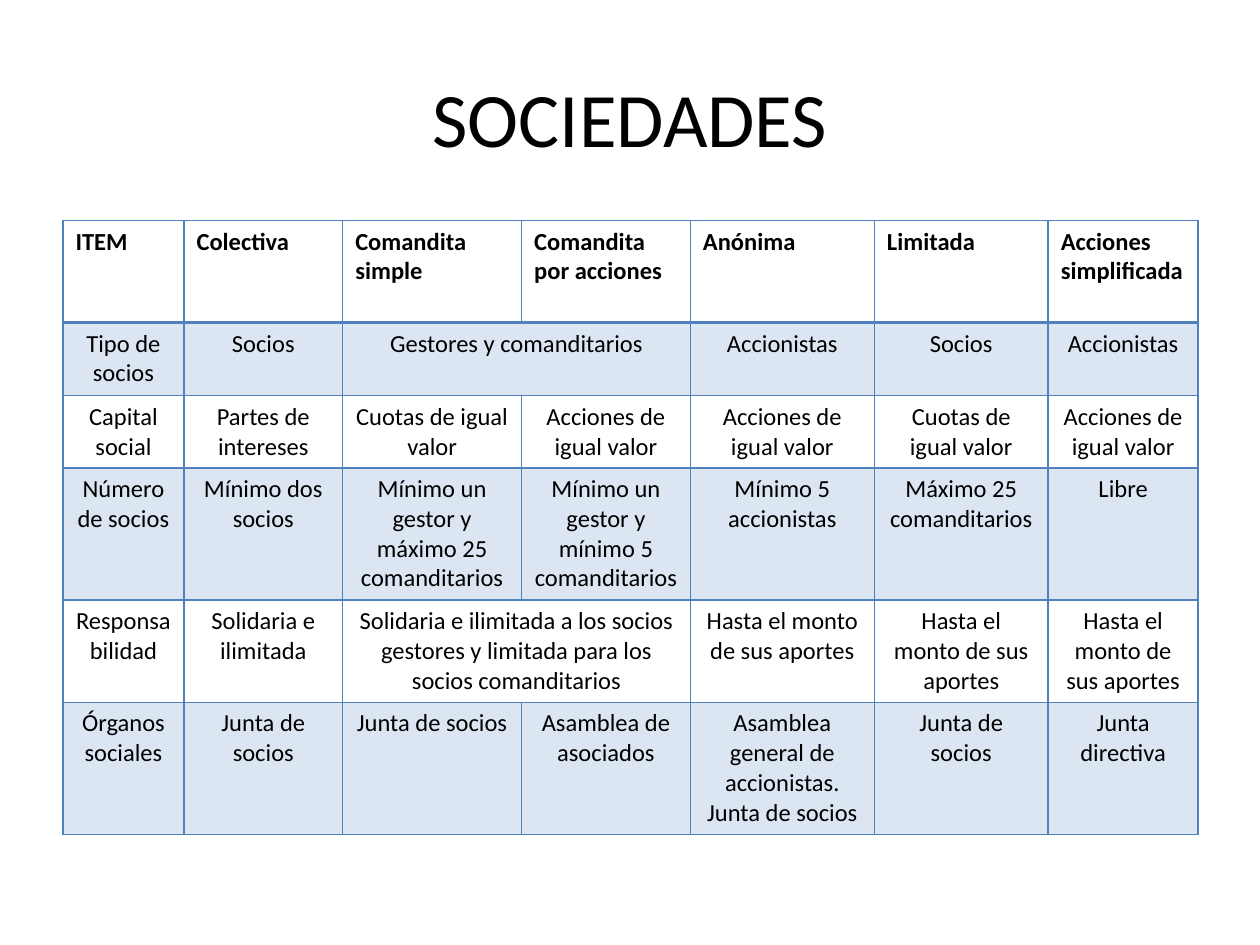
from lxml import etree
from pptx import Presentation
from pptx.dml.color import RGBColor
from pptx.enum.text import MSO_ANCHOR, PP_ALIGN
from pptx.oxml.ns import qn
from pptx.util import Inches, Pt

CENTER, LEFT = PP_ALIGN.CENTER, PP_ALIGN.LEFT
MIDDLE = MSO_ANCHOR.MIDDLE
TITLE_ONLY = 5

COLUMN_WIDTHS = [0.96, 1.26, 1.42, 1.34, 1.46, 1.38, 1.19]
ROW_HEIGHTS = [0.81, 0.58, 0.57, 1.05, 0.81, 1.05]
# None continues the cell to its left.
ROWS = [
    ["ITEM", "Colectiva", "Comandita simple", "Comandita por acciones",
     "Anónima", "Limitada", "Acciones simplificada"],
    ["Tipo de socios", "Socios", "Gestores y comanditarios", None,
     "Accionistas", "Socios", "Accionistas"],
    ["Capital social", "Partes de intereses", "Cuotas de igual valor",
     "Acciones de igual valor", "Acciones de igual valor",
     "Cuotas de igual valor", "Acciones de igual valor"],
    ["Número de socios", "Mínimo dos socios",
     "Mínimo un gestor y máximo 25 comanditarios",
     "Mínimo un gestor y mínimo 5 comanditarios",
     "Mínimo 5 accionistas", "Máximo 25 comanditarios", "Libre"],
    ["Responsabilidad", "Solidaria e ilimitada",
     "Solidaria e ilimitada a los socios gestores y limitada para los "
     "socios comanditarios", None, "Hasta el monto de sus aportes",
     "Hasta el monto de sus aportes", "Hasta el monto de sus aportes"],
    ["Órganos sociales", "Junta de socios", "Junta de socios",
     "Asamblea de asociados",
     "Asamblea general de accionistas. Junta de socios",
     "Junta de socios", "Junta directiva"],
]


def color(value):
    """Turn a hex string into a colour."""
    return RGBColor.from_string(value)


class SlideBuilder:
    """Hold the style and the current slide."""

    font, ink, line, band = "Calibri", "000000", "4F81BD", "DCE6F2"

    def __init__(self, slide):
        """Keep the slide to build on."""
        self.slide = slide

    def set_text(self, frame, text, size, align, bold=False):
        """Put one formatted paragraph into a text frame."""
        frame.text = text
        para = frame.paragraphs[0]
        para.alignment = align
        for span in para.runs:
            span.font.name = self.font
            span.font.size = Pt(size)
            span.font.bold = bold
            span.font.color.rgb = color(self.ink)

    def title(self, text, left, top, width, height):
        """Place and fill the title placeholder."""
        box = self.slide.shapes.title
        box.left, box.top = Inches(left), Inches(top)
        box.width, box.height = Inches(width), Inches(height)
        box.text_frame.vertical_anchor = MIDDLE
        self.set_text(box.text_frame, text, 44, CENTER)

    def borders(self, cell, bottom):
        """Draw the four borders of a cell."""
        properties = cell._tc.get_or_add_tcPr()
        for side, width in (("L", 1), ("R", 1), ("T", 1), ("B", bottom)):
            edge = etree.SubElement(properties, qn(f"a:ln{side}"), w=str(Pt(width)))
            fill = etree.SubElement(edge, qn("a:solidFill"))
            etree.SubElement(fill, qn("a:srgbClr"), val=self.line)

    def table(self, rows, left, top, widths, heights):
        """Add a table with a bold header and tinted alternate rows."""
        table = self.slide.shapes.add_table(
            len(rows), len(widths), Inches(left), Inches(top),
            Inches(sum(widths)), Inches(sum(heights))).table
        table.horz_banding = False
        table.first_row = False
        for column, width in zip(table.columns, widths):
            column.width = Inches(width)
        for r, texts in enumerate(rows):
            table.rows[r].height = Inches(heights[r])
            header = r == 0
            for c, text in enumerate(texts):
                cell = table.cell(r, c)
                self.borders(cell, 2 if header else 1)
                if r % 2:
                    cell.fill.solid()
                    cell.fill.fore_color.rgb = color(self.band)
                else:
                    cell.fill.background()
                if text is None:
                    table.cell(r, c - 1).merge(cell)
                else:
                    self.set_text(cell.text_frame, text, 14,
                                  LEFT if header else CENTER, header)


def main():
    """Build the deck."""
    deck = Presentation()
    deck.slide_width, deck.slide_height = Inches(10), Inches(7.5)
    page = SlideBuilder(deck.slides.add_slide(deck.slide_layouts[TITLE_ONLY]))
    page.title("SOCIEDADES", 0.5, 0.3, 9, 1.25)
    page.table(ROWS, 0.5, 1.75, COLUMN_WIDTHS, ROW_HEIGHTS)
    deck.save("out.pptx")


main()
